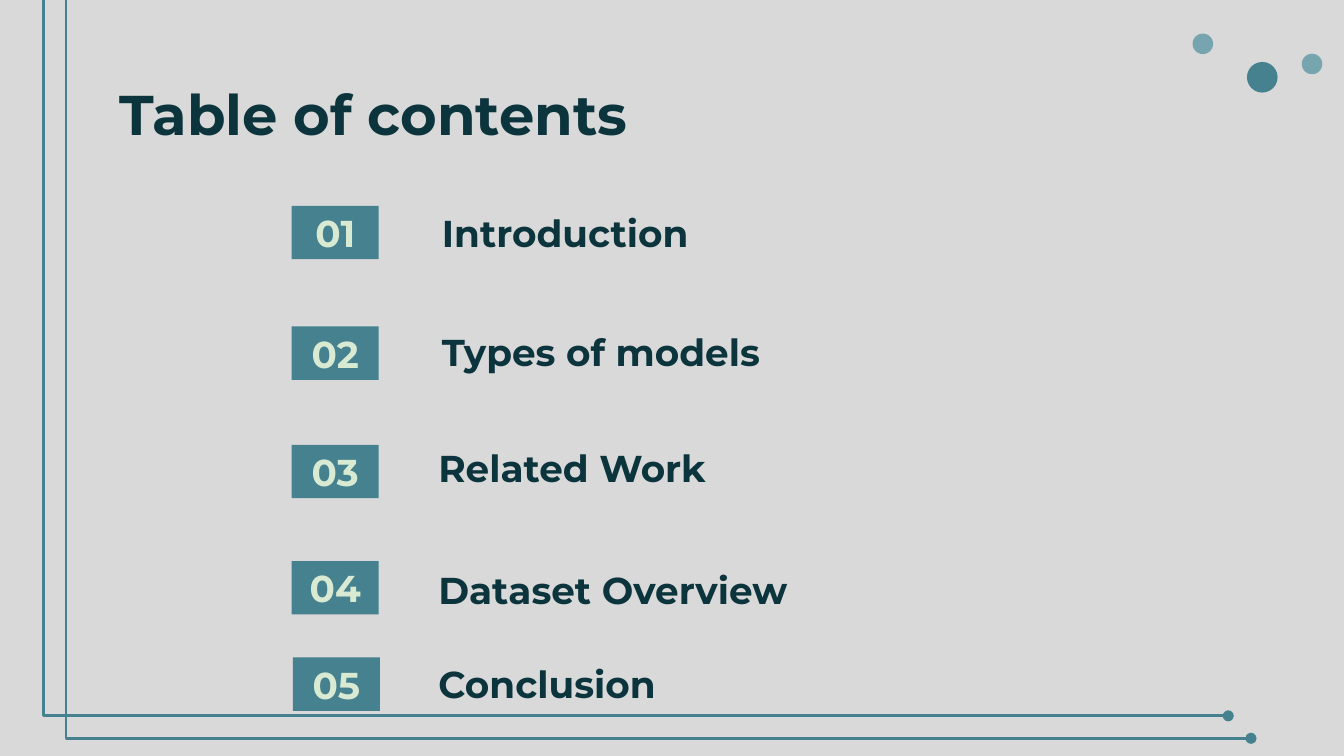
from lxml.etree import SubElement
from pptx import Presentation
from pptx.dml.color import RGBColor
from pptx.enum.shapes import MSO_CONNECTOR, MSO_SHAPE
from pptx.enum.text import MSO_ANCHOR, PP_ALIGN
from pptx.oxml.ns import qn
from pptx.util import Pt

COLORS = {
    "background": "D9D9D9",
    "teal": "45818E",
    "light_teal": "76A5AF",
    "dark": "0C343D",
    "pale_green": "D9EAD3",
}


def color(name):
    return RGBColor.from_string(COLORS[name])


def write(shape, text, size, color_name, anchor, align=PP_ALIGN.LEFT, spacing=1):
    frame = shape.text_frame
    frame.word_wrap = True
    frame.vertical_anchor = anchor
    frame.margin_left = frame.margin_right = Pt(7.2)
    frame.margin_top = frame.margin_bottom = Pt(7.2)
    frame.text = text
    paragraph = frame.paragraphs[0]
    paragraph.alignment = align
    paragraph.line_spacing = spacing
    font = paragraph.runs[0].font
    font.name = "Montserrat"
    font.size = Pt(size)
    font.bold = True
    font.color.rgb = color(color_name)


presentation = Presentation()
presentation.slide_width = Pt(720)
presentation.slide_height = Pt(405)
slide = presentation.slides.add_slide(presentation.slide_layouts[6])
slide.background.fill.solid()
slide.background.fill.fore_color.rgb = color("background")
shapes = slide.shapes

# Dots: left, top, diameter, colour
dots = [
    (668, 33.2, 16.4, "teal"),
    (638.9, 18, 11, "light_teal"),
    (697.4, 28.8, 11, "light_teal"),
]
for left, top, diameter, fill in dots:
    dot = shapes.add_shape(MSO_SHAPE.OVAL, Pt(left), Pt(top), Pt(diameter), Pt(diameter))
    dot.shadow.inherit = False
    dot.fill.solid()
    dot.fill.fore_color.rgb = color(fill)
    dot.line.fill.background()

# Two nested frame lines, each bending just left of its start
for left, top in [(29.5, -17), (41.7, -5)]:
    frame_line = shapes.add_connector(
        MSO_CONNECTOR.ELBOW, Pt(left), Pt(top), Pt(left + 628.5), Pt(top + 400.5)
    )
    frame_line.line.color.rgb = color("teal")
    frame_line.line.width = Pt(1.5)
    properties = frame_line._element.spPr
    adjustments = properties.find(qn("a:prstGeom")).get_or_add_avLst()
    SubElement(adjustments, qn("a:gd"), name="adj1", fmla="val -980")
    SubElement(properties.find(qn("a:ln")), qn("a:tailEnd"), type="oval")
    SubElement(properties, qn("a:effectLst"))

title = shapes.add_textbox(Pt(56.9), Pt(35.3), Pt(607), Pt(45.4))
write(title, "Table of contents", 30, "dark", MSO_ANCHOR.TOP)

# Contents: badge left and top, label left and top, label
contents = [
    (156.3, 110.3, 229.7, 115.2, "Introduction"),
    (156.3, 174.9, 229.7, 178.8, "Types of models"),
    (156.3, 238.3, 227.7, 241, "Related Work"),
    (156.3, 300.6, 227.7, 306.2, "Dataset Overview"),
    (156.9, 352.2, 227.7, 356.6, "Conclusion"),
]
for number, (badge_left, badge_top, label_left, label_top, label) in enumerate(contents, 1):
    badge = shapes.add_shape(
        MSO_SHAPE.RECTANGLE, Pt(badge_left), Pt(badge_top), Pt(46.6), Pt(28.6)
    )
    badge.shadow.inherit = False
    badge.fill.solid()
    badge.fill.fore_color.rgb = color("teal")
    badge.line.fill.background()
    write(badge, f"{number:02}", 20, "pale_green", MSO_ANCHOR.MIDDLE, PP_ALIGN.CENTER)

    label_box = shapes.add_textbox(Pt(label_left), Pt(label_top), Pt(334), Pt(28.8))
    write(label_box, label, 20, "dark", MSO_ANCHOR.BOTTOM, spacing=1.15)

presentation.save("out.pptx")
